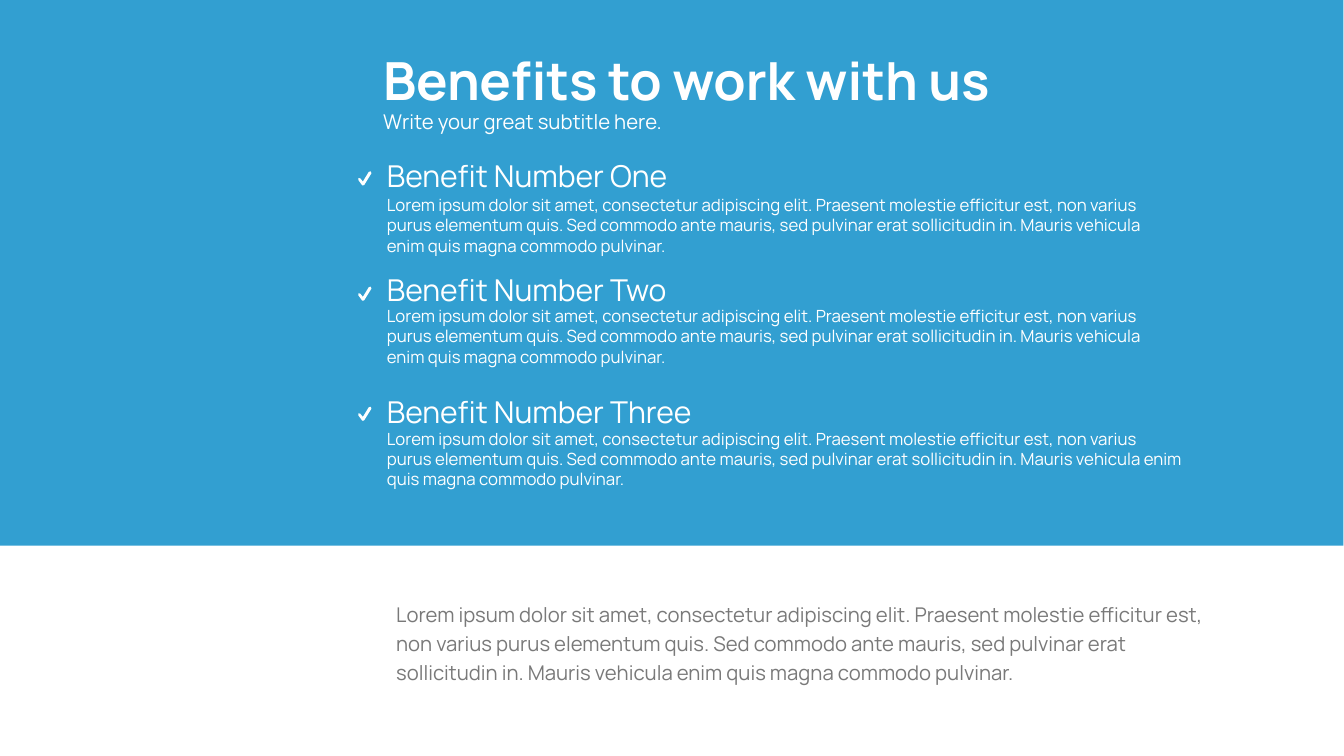
from dataclasses import dataclass

from lxml.etree import SubElement
from pptx import Presentation
from pptx.dml.color import RGBColor
from pptx.enum.shapes import MSO_SHAPE
from pptx.enum.text import MSO_ANCHOR, MSO_AUTO_SIZE, PP_ALIGN
from pptx.oxml.ns import qn
from pptx.util import Cm, Pt


@dataclass(frozen=True)
class Theme:
    font: str = "Manrope"
    blue: RGBColor = RGBColor(0x32, 0x9F, 0xD1)
    white: RGBColor = RGBColor(0xFF, 0xFF, 0xFF)
    grey: RGBColor = RGBColor(0x79, 0x79, 0x79)
    title: Pt = Pt(75)
    heading: Pt = Pt(43)
    lead: Pt = Pt(29)
    detail: Pt = Pt(24)


@dataclass(frozen=True)
class Benefit:
    heading: str
    top: float
    check_drop: float
    detail_drop: float
    detail_width: float


THEME = Theme()
WIDE_INSETS = (Cm(0.69), Cm(0.33))
NARROW_INSETS = (Cm(0.25), Cm(0.13))
DISC_SIZE = Cm(1.75)
# Outline of the tick in hundredths of a centimetre from the disc's corner
TICK = [(79, 122), (74, 119), (56, 94), (56, 84), (66, 86), (79, 102),
        (109, 53), (119, 51), (122, 61), (86, 119)]

LOREM = (
    "Lorem ipsum dolor sit amet, consectetur adipiscing elit. Praesent molestie "
    "efficitur est, non varius purus elementum quis. Sed commodo ante mauris, sed "
    "pulvinar erat sollicitudin in. Mauris vehicula enim quis magna commodo pulvinar."
)
BENEFITS = [
    Benefit("Benefit Number One", 7.82, 0.31, 1.88, 39.45),
    Benefit("Benefit Number Two", 13.54, 0.4, 1.75, 39.45),
    Benefit("Benefit Number Three", 19.69, 0.3, 1.77, 40.67),
]


def place(shape, left, top, width, height):
    shape.left, shape.top, shape.width, shape.height = left, top, width, height


def paint(shape, color):
    """Fill a shape with one colour, without line or shadow."""
    shape.shadow.inherit = False
    shape.fill.solid()
    shape.fill.fore_color.rgb = color
    shape.line.fill.background()


def write(shape, text, size, color=THEME.white, bold=False, insets=NARROW_INSETS,
          anchor=MSO_ANCHOR.TOP, grow=False, line_spacing=1.0):
    frame = shape.text_frame
    frame.word_wrap = True
    frame.auto_size = MSO_AUTO_SIZE.SHAPE_TO_FIT_TEXT if grow else MSO_AUTO_SIZE.NONE
    frame.vertical_anchor = anchor
    frame.margin_left = frame.margin_right = insets[0]
    frame.margin_top = frame.margin_bottom = insets[1]
    frame.text = text
    paragraph = frame.paragraphs[0]
    paragraph.alignment = PP_ALIGN.LEFT
    paragraph.space_before = Pt(0)
    paragraph.line_spacing = line_spacing
    if shape.is_placeholder:
        properties = paragraph._p.get_or_add_pPr()
        properties.set("marL", "0")
        properties.set("indent", "0")
        SubElement(properties, qn("a:buNone"))
    font = paragraph.font
    font.name, font.size, font.bold = THEME.font, size, bold
    font.color.rgb = color


def add_band(slide, left, top, width, height):
    """Add the blue field behind everything else."""
    band = slide.shapes.add_shape(MSO_SHAPE.RECTANGLE, left, top, width, height)
    paint(band, THEME.blue)
    slide.shapes[0]._element.addprevious(band._element)


def add_header(slide, left, top, width):
    title, subtitle = slide.shapes.title, slide.placeholders[1]
    place(title, left, top, width, Cm(4.06))
    write(title, "Benefits to work with us", THEME.title, bold=True, insets=WIDE_INSETS)
    place(subtitle, left, top + Cm(3.07), width, Cm(2.16))
    write(subtitle, "Write your great subtitle here.", THEME.lead, insets=WIDE_INSETS)


def add_check(shapes, left, top):
    disc = shapes.add_shape(MSO_SHAPE.OVAL, left, top, DISC_SIZE, DISC_SIZE)
    paint(disc, THEME.blue)
    outline = shapes.build_freeform(*TICK[0], scale=Cm(0.01))
    outline.add_line_segments(TICK[1:], close=True)
    paint(outline.convert_to_shape(left, top), THEME.white)


def add_benefit(slide, benefit, left):
    shapes = slide.shapes.add_group_shape().shapes
    top = Cm(benefit.top)
    text_left = left + DISC_SIZE
    detail = shapes.add_textbox(text_left, top + Cm(benefit.detail_drop),
                                Cm(benefit.detail_width), Cm(3.33))
    write(detail, LOREM, THEME.detail, grow=True)
    heading = shapes.add_textbox(text_left, top, Cm(28.45), Cm(2.08))
    write(heading, benefit.heading, THEME.heading, anchor=MSO_ANCHOR.MIDDLE, grow=True)
    add_check(shapes, left, top + Cm(benefit.check_drop))


def add_closing(slide, left, top, width, height):
    closing = slide.shapes.add_textbox(left, top, width, height)
    write(closing, LOREM, THEME.lead, THEME.grey, insets=WIDE_INSETS, grow=True,
          line_spacing=1.2)


def main():
    presentation = Presentation()
    presentation.slide_width, presentation.slide_height = Cm(67.74), Cm(38.1)
    slide = presentation.slides.add_slide(presentation.slide_layouts[1])
    add_band(slide, Cm(-0.03), Cm(-0.08), Cm(67.74), Cm(27.58))
    add_header(slide, Cm(18.62), Cm(2.11), Cm(40.54))
    for benefit in BENEFITS:
        add_benefit(slide, benefit, Cm(17.5))
    add_closing(slide, Cm(19.28), Cm(29.77), Cm(43.38), Cm(5.16))
    presentation.save("out.pptx")


if __name__ == "__main__":
    main()
